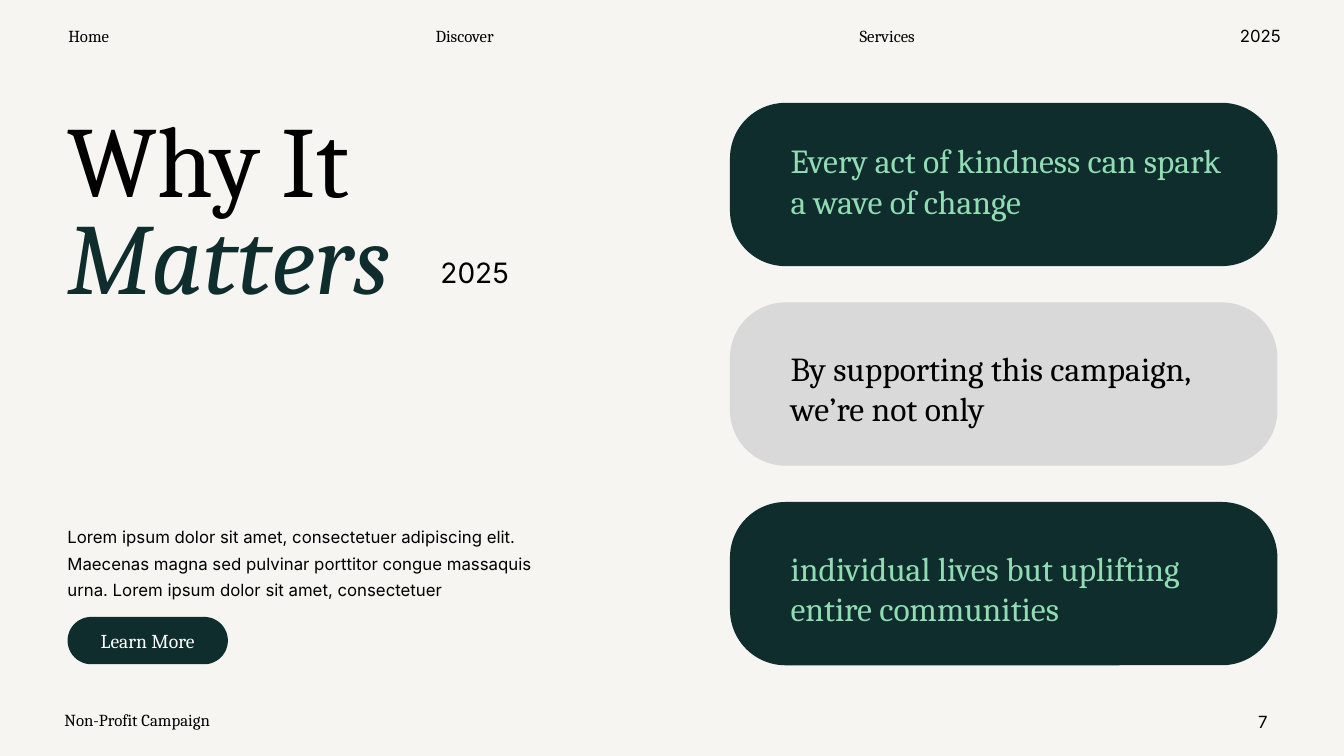
from pptx import Presentation
from pptx import util as u
from pptx.dml.color import RGBColor
from pptx.enum import shapes, text

SERIF, SANS = "Cambria", "Inter"
BLACK, WHITE, PAPER = "000000", "FFFFFF", "F6F5F1"
PINE, MINT, GREY = "0F2D2D", "91DCB3", "D9D9D9"
LEFT, CENTER, RIGHT = text.PP_ALIGN.LEFT, text.PP_ALIGN.CENTER, text.PP_ALIGN.RIGHT


def color(value):
    """Turn a hex string into a colour."""
    return RGBColor.from_string(value)


def style(run, size, font=SERIF, ink=BLACK):
    """Format one run."""
    run.font.size = u.Pt(size)
    run.font.name = font
    run.font.color.rgb = color(ink)


def write(shape, words, size, font=SERIF, ink=BLACK, align=LEFT, spacing=1.0):
    """Put a single paragraph into a shape."""
    shape.text_frame.text = words
    paragraph = shape.text_frame.paragraphs[0]
    paragraph.alignment = align
    paragraph.line_spacing = spacing
    style(paragraph.runs[0], size, font, ink)


def add_text(slide, box, words, size, wrap=True, **look):
    """Add a text box."""
    shape = slide.shapes.add_textbox(*map(u.Inches, box))
    shape.text_frame.word_wrap = wrap
    write(shape, words, size, **look)


def add_pill(slide, box, fill, roundness):
    """Add a rounded rectangle without an outline."""
    shape = slide.shapes.add_shape(
        shapes.MSO_SHAPE.ROUNDED_RECTANGLE, *map(u.Inches, box))
    shape.adjustments[0] = roundness
    shape.shadow.inherit = False
    shape.fill.solid()
    shape.fill.fore_color.rgb = color(fill)
    shape.line.fill.background()
    return shape


def add_navigation(slide, top):
    """Place the menu along the top edge."""
    menu = [("Home", 0.54, 0.68, SERIF), ("Discover", 4.16, 0.9, SERIF),
            ("Services", 8.37, 0.86, SERIF), ("2025", 12.19, 0.62, SANS)]
    for words, left, width, font in menu:
        add_text(slide, (left, top, width, 0.3), words, 12, wrap=False,
                 font=font, align=CENTER)


def add_footer(slide, top):
    """Place the campaign name and page number."""
    add_text(slide, (0.54, top, 2.89, 0.3), "Non-Profit Campaign", 12)
    add_text(slide, (11.99, top + 0.02, 0.68, 0.3), "7", 12, font=SANS, align=RIGHT)


def add_heading(slide, left, top):
    """Place the two-tone title with its year."""
    title = slide.shapes.title
    title.left, title.top, title.width, title.height = map(
        u.Inches, (left, top, 4.08, 2.04))
    frame = title.text_frame
    frame.word_wrap = True
    frame.auto_size = text.MSO_AUTO_SIZE.NONE
    frame.vertical_anchor = text.MSO_ANCHOR.TOP
    write(title, "Why It ", 72, spacing=0.8)
    accent = frame.paragraphs[0].add_run()
    accent.text = "Matters"
    style(accent, 72, ink=PINE)
    accent.font.italic = True
    add_text(slide, (left + 3.7, top + 1.35, 0.98, 0.44), "2025", 20, font=SANS)


def add_introduction(slide, left, top):
    """Place the body text and the button below it."""
    add_text(slide, (left, top, 4.86, 0.86),
             "Lorem ipsum dolor sit amet, consectetuer adipiscing elit. "
             "Maecenas magna sed pulvinar porttitor congue massaquis urna. "
             "Lorem ipsum dolor sit amet, consectetuer",
             12, font=SANS, spacing=1.3)
    button = add_pill(slide, (left + 0.1, top + 1, 1.59, 0.47), PINE, 0.5)
    button.text_frame.vertical_anchor = text.MSO_ANCHOR.MIDDLE
    write(button, "Learn More", 14, ink=WHITE, align=CENTER)


def add_cards(slide, left, top, width, height, pitch):
    """Stack the message cards at an equal pitch."""
    cards = [
        ("Every act of kindness can spark a wave of change", PINE, MINT, 0.21),
        ("By supporting this campaign, we’re not only", GREY, BLACK, 0.29),
        ("individual lives but uplifting entire communities", PINE, MINT, 0.29)]
    for index, (words, fill, ink, inset) in enumerate(cards):
        card = add_pill(slide, (left, top + index * pitch, width, height), fill, 0.34)
        frame = card.text_frame
        frame.word_wrap = True
        frame.vertical_anchor = text.MSO_ANCHOR.TOP
        frame.margin_left, frame.margin_right = u.Inches(0.44), u.Inches(0.26)
        frame.margin_top, frame.margin_bottom = u.Inches(inset), 0
        write(card, words, 24, ink=ink)


def main():
    """Build and save the slide."""
    presentation = Presentation()
    presentation.slide_width = u.Inches(13.33)
    presentation.slide_height = u.Inches(7.5)
    slide = presentation.slides.add_slide(presentation.slide_layouts[5])
    slide.background.fill.solid()
    slide.background.fill.fore_color.rgb = color(PAPER)
    add_navigation(slide, 0.21)
    add_heading(slide, 0.57, 1.14)
    add_introduction(slide, 0.57, 5.12)
    add_cards(slide, 7.24, 1.02, 5.43, 1.62, 1.98)
    add_footer(slide, 6.99)
    presentation.save("out.pptx")


if __name__ == "__main__":
    main()
